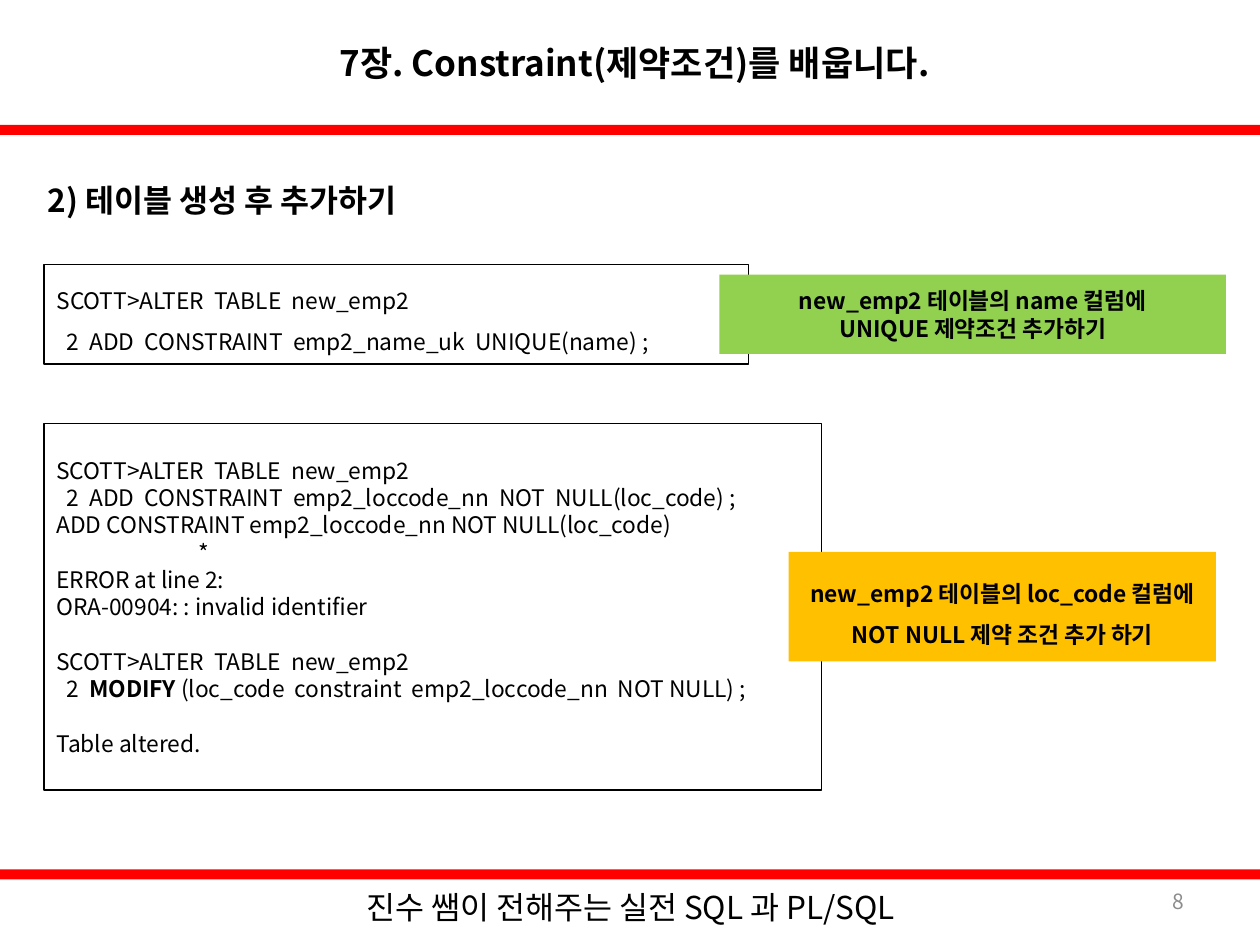
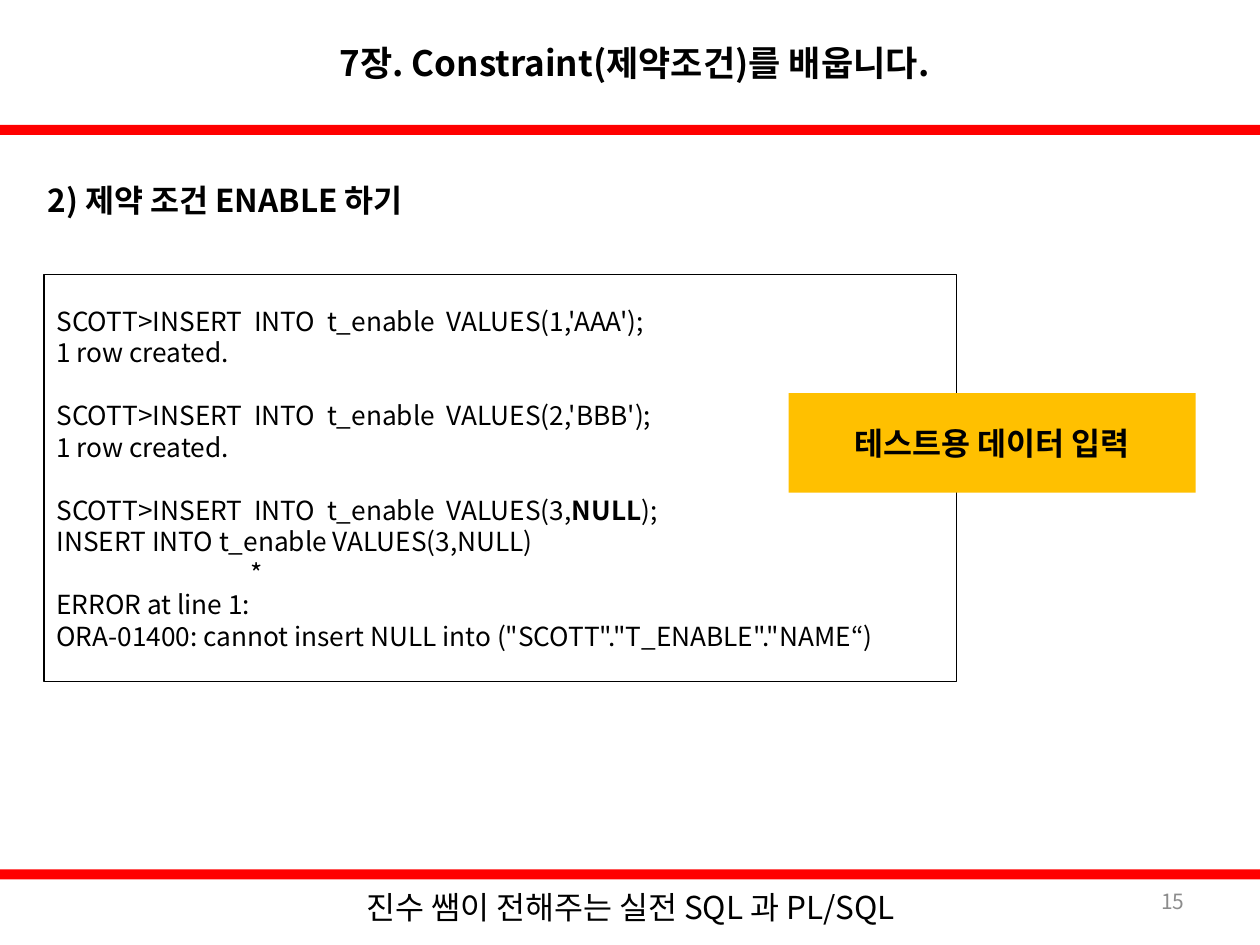
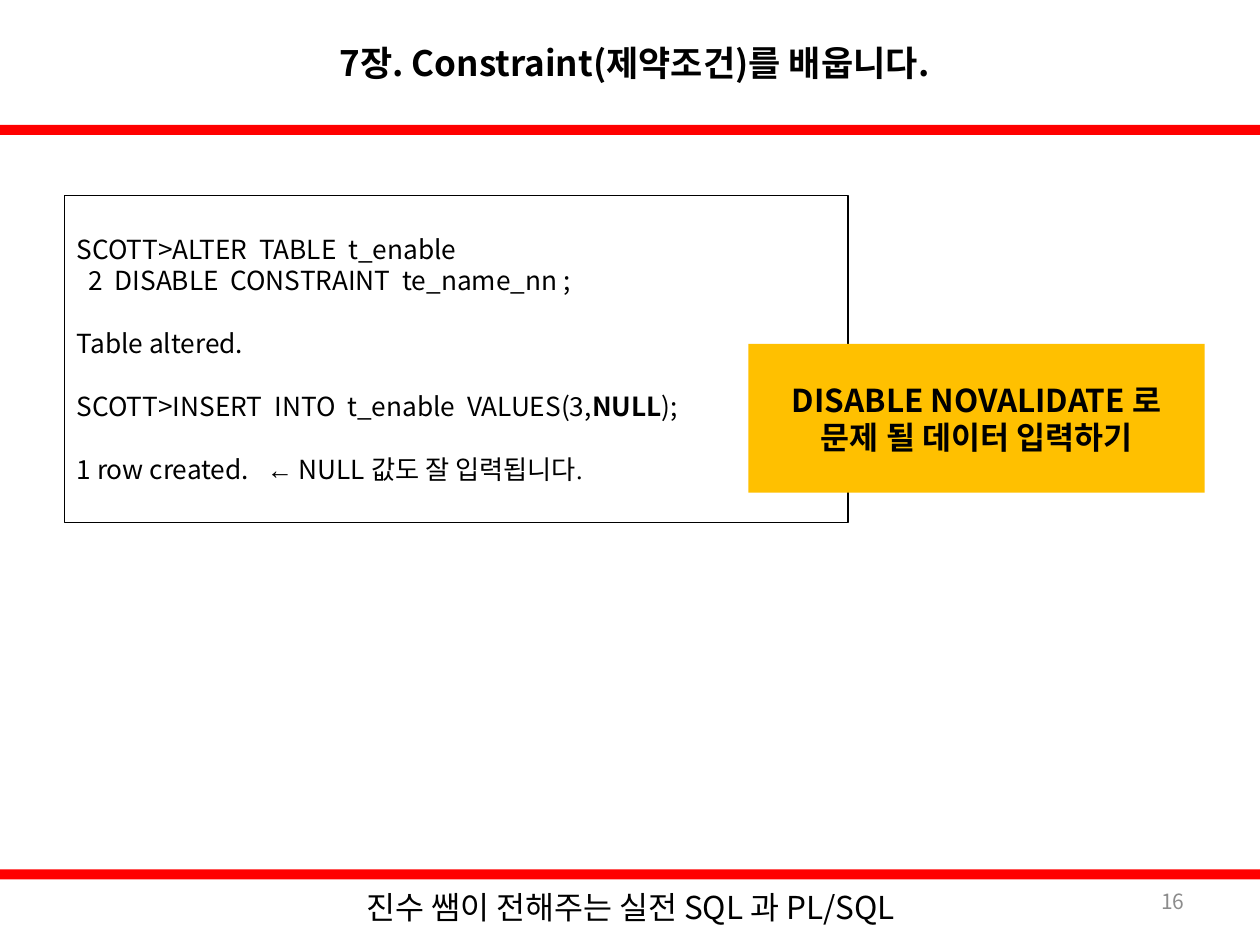
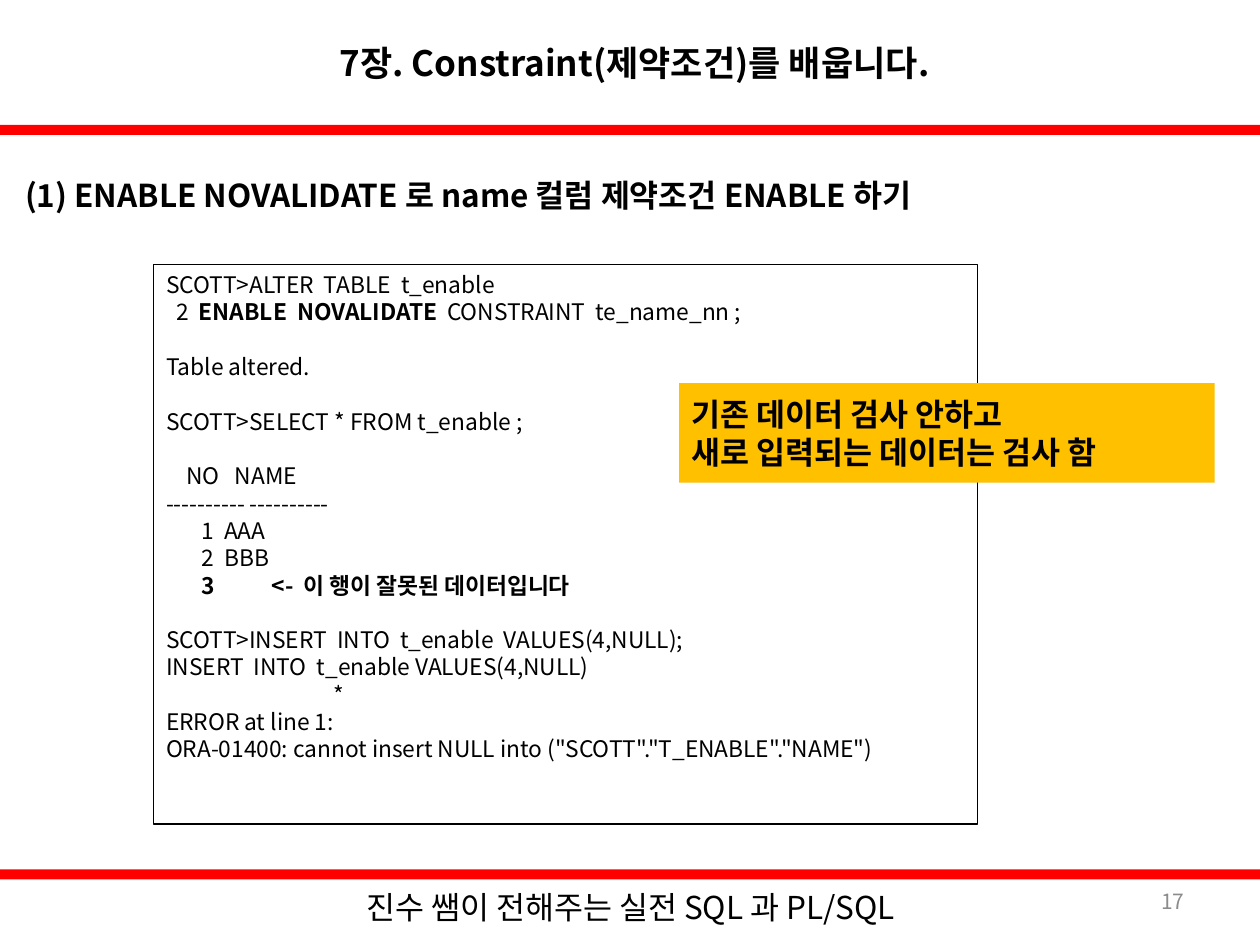
from lxml import etree
from pptx import Presentation
from pptx import util as u
from pptx.dml.color import RGBColor
from pptx.enum import shapes, text
from pptx.oxml import ns

BLACK = RGBColor(0x00, 0x00, 0x00)
WHITE = RGBColor(0xFF, 0xFF, 0xFF)
RED = RGBColor(0xFF, 0x00, 0x00)
GREEN = RGBColor(0x92, 0xD0, 0x50)
AMBER = RGBColor(0xFF, 0xC0, 0x00)
GRAY = RGBColor(0x8C, 0x8C, 0x8C)

FACE = "Noto Sans CJK KR"
LINE_HEIGHT = 1.2
BOLD = {"bold": True}
SERIF = {"name": "Times New Roman"}

LEFT = text.PP_ALIGN.LEFT
CENTER = text.PP_ALIGN.CENTER
RIGHT = text.PP_ALIGN.RIGHT
JUSTIFY = text.PP_ALIGN.JUSTIFY
TOP = text.MSO_ANCHOR.TOP
MIDDLE = text.MSO_ANCHOR.MIDDLE

TITLE = "7장. Constraint(제약조건)를 배웁니다."
FOOTER = "진수 쌤이 전해주는 실전 SQL 과 PL/SQL"

# Each code or callout: area (left, top, width, height), lines and options.
# A line is a string or a tuple of strings and (string, font settings) pairs;
# an empty line becomes space before the next paragraph.
PAGES = [
    {
        "number": 8,
        "heading": ((0.28, 1.31, 3.54, 0.55), "2) 테이블 생성 후 추가하기"),
        "codes": [
            ((0.35, 2.1, 5.59, 0.79), [
                "SCOTT>ALTER  TABLE  new_emp2",
                "  2  ADD  CONSTRAINT  emp2_name_uk  UNIQUE(name) ;",
            ], {"size": 13, "align": JUSTIFY, "spacing": 1.5}),
            ((0.35, 3.36, 6.17, 2.91), [
                "SCOTT>ALTER  TABLE  new_emp2",
                "  2  ADD  CONSTRAINT  emp2_loccode_nn  NOT  NULL(loc_code) ;",
                "ADD CONSTRAINT emp2_loccode_nn NOT NULL(loc_code)",
                "                            *",
                "ERROR at line 2:",
                "ORA-00904: : invalid identifier",
                "",
                "SCOTT>ALTER  TABLE  new_emp2",
                ("  2  ", ("MODIFY", BOLD),
                 " (loc_code  constraint  emp2_loccode_nn  NOT NULL) ;"),
                "",
                "Table altered.",
            ], {"size": 13, "align": JUSTIFY}),
        ],
        "callouts": [
            ((5.71, 2.18, 4.02, 0.63), GREEN, [
                "new_emp2 테이블의 name 컬럼에",
                "UNIQUE 제약조건 추가하기",
            ], {"size": 13, "align": CENTER}),
            ((6.26, 4.38, 3.39, 0.87), AMBER, [
                "new_emp2 테이블의 loc_code 컬럼에 NOT NULL 제약 조건 추가 하기",
            ], {"size": 13, "align": CENTER, "spacing": 1.5}),
        ],
    },
    {
        "number": 15,
        "heading": ((0.28, 1.31, 8.82, 0.55), "2) 제약 조건 ENABLE 하기"),
        "codes": [
            ((0.35, 2.18, 7.24, 3.23), [
                "SCOTT>INSERT  INTO  t_enable  VALUES(1,'AAA');",
                "1 row created.",
                "",
                "SCOTT>INSERT  INTO  t_enable  VALUES(2,'BBB');",
                "1 row created.",
                "",
                ("SCOTT>INSERT  INTO  t_enable  VALUES(3,", ("NULL", BOLD), ");"),
                "INSERT INTO t_enable VALUES(3,NULL)",
                "                                 *",
                "ERROR at line 1:",
                'ORA-01400: cannot insert NULL into ("SCOTT"."T_ENABLE"."NAME“)',
            ], {"size": 15, "align": JUSTIFY}),
        ],
        "callouts": [
            ((6.26, 3.12, 3.23, 0.79), AMBER, ["테스트용 데이터 입력"],
             {"size": 18, "align": CENTER}),
        ],
    },
    {
        "number": 16,
        "heading": None,
        "codes": [
            ((0.51, 1.55, 6.22, 2.6), [
                "SCOTT>ALTER  TABLE  t_enable",
                "  2  DISABLE  CONSTRAINT  te_name_nn ;",
                "",
                "Table altered.",
                "",
                ("SCOTT>INSERT  INTO  t_enable  VALUES(3,", ("NULL", BOLD), ");"),
                "",
                ("1 row created.   ", ("←", SERIF), " NULL 값도 잘 입력됩니다", (".", SERIF)),
            ], {"size": 15}),
        ],
        "callouts": [
            ((5.94, 2.73, 3.62, 1.18), AMBER, [
                "DISABLE NOVALIDATE 로",
                "문제 될 데이터 입력하기",
            ], {"size": 18, "align": CENTER}),
        ],
    },
    {
        "number": 17,
        "heading": ((0.1, 1.23, 9.39, 0.63),
                    "(1) ENABLE NOVALIDATE 로 name 컬럼 제약조건 ENABLE 하기"),
        "codes": [
            ((1.22, 2.1, 6.54, 4.44), [
                "SCOTT>ALTER  TABLE  t_enable",
                ("  2  ", ("ENABLE  NOVALIDATE", BOLD), "  CONSTRAINT  te_name_nn ;"),
                "",
                "Table altered.",
                "",
                "SCOTT>SELECT * FROM t_enable ;",
                "",
                "    NO   NAME",
                "---------- ----------",
                "       1  AAA",
                "       2  BBB",
                ("       ", ("3           <-  이 행이 잘못된 데이터입니다", BOLD)),
                "",
                "SCOTT>INSERT  INTO  t_enable  VALUES(4,NULL);",
                "INSERT  INTO  t_enable VALUES(4,NULL)",
                "                                 *",
                "ERROR at line 1:",
                'ORA-01400: cannot insert NULL into ("SCOTT"."T_ENABLE"."NAME")',
            ], {"size": 13, "align": JUSTIFY, "anchor": TOP}),
        ],
        "callouts": [
            ((5.39, 3.04, 4.25, 0.79), AMBER, [
                "기존 데이터 검사 안하고",
                "새로 입력되는 데이터는 검사 함",
            ], {"size": 18}),
        ],
    },
]


def write(box, lines, size, align=LEFT, bold=False, color=BLACK, spacing=None, anchor=MIDDLE):
    """Fill the box with one paragraph per line."""
    frame = box.text_frame
    frame.word_wrap = True
    frame.auto_size = text.MSO_AUTO_SIZE.NONE
    frame.vertical_anchor = anchor
    para, gap = frame.paragraphs[0], 0
    for index, line in enumerate(lines):
        if not line:
            gap = size * LINE_HEIGHT
            continue
        if index:
            para = frame.add_paragraph()
        para.alignment = align
        if spacing:
            para.line_spacing = spacing
        if gap:
            para.space_before = u.Pt(gap)
            gap = 0
        para.font.name = FACE
        para.font.size = u.Pt(size)
        para.font.bold = bold
        para.font.color.rgb = color
        latin = para._p.pPr.find(".//" + ns.qn("a:latin"))
        latin.addnext(etree.Element(ns.qn("a:ea"), typeface=FACE))
        for part in (line,) if isinstance(line, str) else line:
            words, settings = (part, {}) if isinstance(part, str) else part
            span = para.add_run()
            span.text = words
            for name, value in settings.items():
                setattr(span.font, name, value)


def add_panel(page, area, fill, outline=None):
    panel = page.shapes.add_shape(shapes.MSO_SHAPE.RECTANGLE, *map(u.Inches, area))
    panel.shadow.inherit = False
    panel.fill.solid()
    panel.fill.fore_color.rgb = fill
    if outline is None:
        panel.line.fill.background()
    else:
        panel.line.color.rgb = outline
        panel.line.width = u.Pt(0.75)
    return panel


deck = Presentation()
deck.slide_width, deck.slide_height = u.Inches(10), u.Inches(7.5)
title_only = deck.slide_layouts[5]

for content in PAGES:
    page = deck.slides.add_slide(title_only)
    for band_top in (0.99, 6.9):
        add_panel(page, (0, band_top, 10, 0.08), RED)

    title = page.shapes.title
    title.left, title.top, title.width, title.height = map(u.Inches, (1.69, 0, 6.69, 0.99))
    write(title, [TITLE], 20, CENTER, bold=True)

    labels = [
        ((7.17, 6.95, 2.33, 0.4), str(content["number"]),
         {"size": 12, "align": RIGHT, "color": GRAY}),
        ((2.09, 6.98, 5.83, 0.44), FOOTER, {"size": 18, "align": CENTER}),
    ]
    if content["heading"]:
        labels.append((*content["heading"], {"size": 18, "bold": True}))
    for area, words, style in labels:
        write(page.shapes.add_textbox(*map(u.Inches, area)), [words], **style)

    for area, lines, style in content["codes"]:
        write(add_panel(page, area, WHITE, BLACK), lines, **style)
    for area, fill, lines, style in content["callouts"]:
        write(add_panel(page, area, fill), lines, bold=True, **style)

deck.save("out.pptx")
